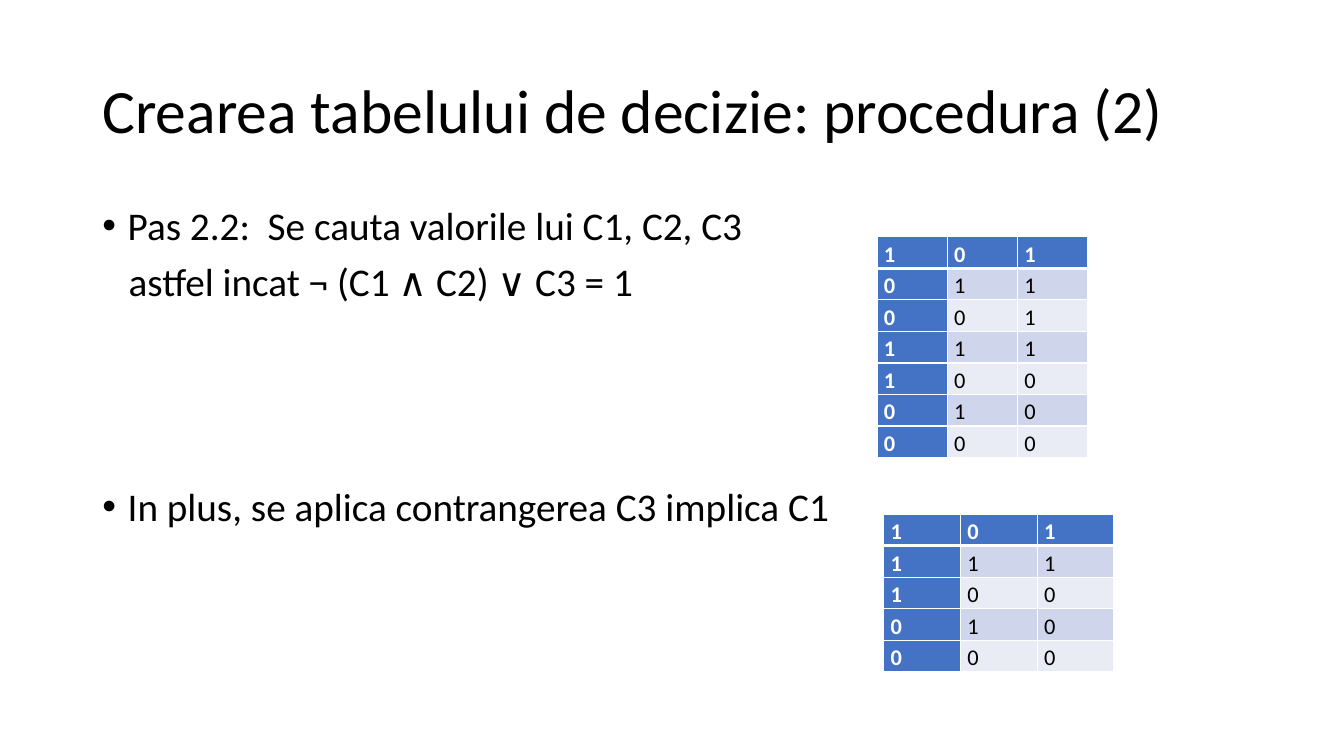
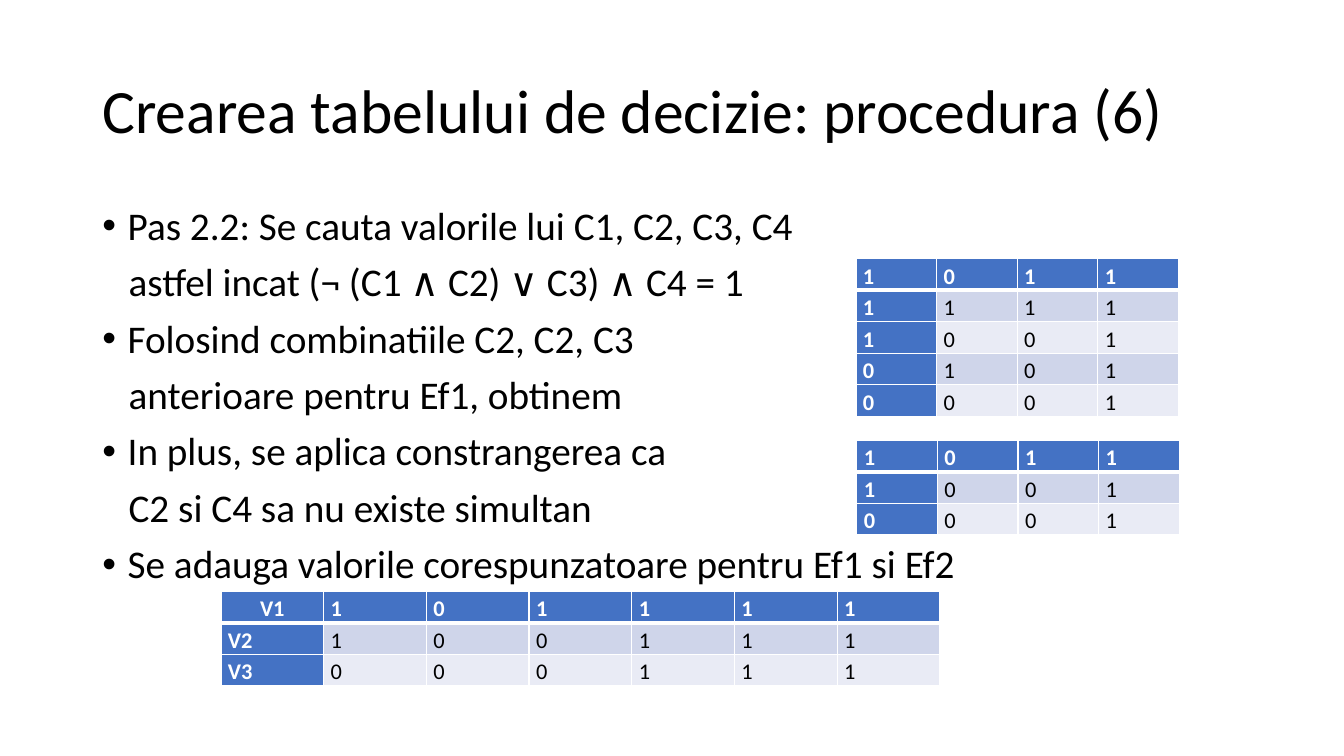
from lxml import etree
from pptx import Presentation
from pptx.dml.color import RGBColor
from pptx.enum.text import MSO_ANCHOR, MSO_AUTO_SIZE, PP_ALIGN
from pptx.oxml.ns import qn
from pptx.util import Emu, Inches, Pt

LEFT, CENTER = PP_ALIGN.LEFT, PP_ALIGN.CENTER
TOP, MIDDLE = MSO_ANCHOR.TOP, MSO_ANCHOR.MIDDLE
NO_FIT = MSO_AUTO_SIZE.NONE

WIDTH, HEIGHT = Inches(13.333), Inches(7.5)
GRID_COLS, GRID_ROWS = 16, 9
FONT = "Calibri"
BLACK, WHITE, BLUE = "000000", "FFFFFF", "4472C4"
BANDS = ("CFD5EA", "E9EBF5")
TITLE_BOX = (1.1, 0.48, 13.8, 1.74)
BODY_BOX = (1.1, 2.4, 13.8, 5.71)
ROW_HEIGHT = 0.35
INDENT, WRAPPED_INDENT = Inches(0.25), Inches(0.26)
LINE_GAP, SECTION_GAP = 10, 130


def rgb(value):
    return RGBColor.from_string(value)


def grid(x, y, w, h):
    col, row = WIDTH / GRID_COLS, HEIGHT / GRID_ROWS
    return Emu(int(x * col)), Emu(int(y * row)), Emu(int(w * col)), Emu(int(h * row))


def add_run(p, text, size, color=BLACK, bold=False):
    r = p.add_run()
    r.text = text
    r.font.name = FONT
    r.font.size = Pt(size)
    r.font.bold = bold
    r.font.color.rgb = rgb(color)


def place(sp, box, anchor):
    sp.left, sp.top, sp.width, sp.height = grid(*box)
    tf = sp.text_frame
    tf.auto_size = NO_FIT
    tf.word_wrap = True
    tf.vertical_anchor = anchor
    return tf


def add_title(s, text):
    p = place(s.shapes.title, TITLE_BOX, MIDDLE).paragraphs[0]
    p.alignment = LEFT
    p.line_spacing = 0.9
    add_run(p, text, 44)


def format_line(p, bulleted, gap):
    p.alignment = LEFT
    p.line_spacing = 0.9
    p.space_before = Pt(gap)
    pPr = p._p.get_or_add_pPr()
    pPr.set("marL", str(INDENT if bulleted else WRAPPED_INDENT))
    pPr.set("indent", str(-INDENT if bulleted else 0))
    if bulleted:
        etree.SubElement(pPr, qn("a:buFont"), typeface="Arial")
        etree.SubElement(pPr, qn("a:buChar"), char="•")
    else:
        etree.SubElement(pPr, qn("a:buNone"))


def add_body(s, items, item_gap):
    tf = place(s.placeholders[1], BODY_BOX, TOP)
    p = tf.paragraphs[0]
    for i, item in enumerate(items):
        for j, line in enumerate(item):
            if i or j:
                p = tf.add_paragraph()
            format_line(p, j == 0, item_gap if i and j == 0 else LINE_GAP)
            add_run(p, line, 28)


def add_border(cell, side, points):
    ln = etree.SubElement(cell._tc.get_or_add_tcPr(), qn(f"a:ln{side}"), w=str(Pt(points)))
    fill = etree.SubElement(ln, qn("a:solidFill"))
    etree.SubElement(fill, qn("a:srgbClr"), val=WHITE)


def format_cell(cell, text, row, col):
    heading = row == 0 or col == 0
    widths = {"L": 1, "R": 1, "T": 3 if row == 1 else 1, "B": 3 if row == 0 else 1}
    for side, points in widths.items():
        add_border(cell, side, points)
    cell.fill.solid()
    cell.fill.fore_color.rgb = rgb(BLUE if heading else BANDS[(row - 1) % 2])
    cell.margin_left = cell.margin_right = Inches(0.07)
    cell.margin_top = cell.margin_bottom = 0
    p = cell.text_frame.paragraphs[0]
    p.alignment = CENTER if text == "V1" else LEFT
    p.line_spacing = 1.15
    add_run(p, text, 16, WHITE if heading else BLACK, heading)


def add_truth_table(s, x, y, w, rows):
    cells = [row.split() for row in rows]
    box = grid(x, y, w, ROW_HEIGHT * len(cells))
    table = s.shapes.add_table(len(cells), len(cells[0]), *box).table
    for i, row in enumerate(cells):
        for j, text in enumerate(row):
            format_cell(table.cell(i, j), text, i, j)


def add_procedure_slide(prs, title, items, tables, item_gap=LINE_GAP):
    s = prs.slides.add_slide(prs.slide_layouts[1])
    add_title(s, title)
    add_body(s, items, item_gap)
    for table in tables:
        add_truth_table(s, *table)


def main():
    prs = Presentation()
    prs.slide_width, prs.slide_height = WIDTH, HEIGHT
    add_procedure_slide(
        prs,
        "Crearea tabelului de decizie: procedura (2)",
        [
            ("Pas 2.2:  Se cauta valorile lui C1, C2, C3",
             "astfel incat ¬ (C1 ∧ C2) ∨ C3 = 1"),
            ("In plus, se aplica contrangerea C3 implica C1",),
        ],
        [
            (10.44, 2.82, 2.51,
             ["1 0 1", "0 1 1", "0 0 1", "1 1 1", "1 0 0", "0 1 0", "0 0 0"]),
            (10.52, 6.12, 2.74, ["1 0 1", "1 1 1", "1 0 0", "0 1 0", "0 0 0"]),
        ],
        SECTION_GAP,
    )
    add_procedure_slide(
        prs,
        "Crearea tabelului de decizie: procedura (6)",
        [
            ("Pas 2.2: Se cauta valorile lui C1, C2, C3, C4",
             "astfel incat (¬ (C1 ∧ C2) ∨ C3) ∧ C4 = 1"),
            ("Folosind combinatiile C2, C2, C3", "anterioare pentru Ef1, obtinem"),
            ("In plus, se aplica constrangerea ca", "C2 si C4 sa nu existe simultan"),
            ("Se adauga valorile corespunzatoare pentru Ef1 si Ef2",),
        ],
        [
            (10.19, 3.08, 3.84,
             ["1 0 1 1", "1 1 1 1", "1 0 0 1", "0 1 0 1", "0 0 0 1"]),
            (10.2, 5.24, 3.84, ["1 0 1 1", "1 0 0 1", "0 0 0 1"]),
            (2.63, 7.04, 8.56,
             ["V1 1 0 1 1 1 1", "V2 1 0 0 1 1 1", "V3 0 0 0 1 1 1"]),
        ],
    )
    prs.save("out.pptx")


if __name__ == "__main__":
    main()
